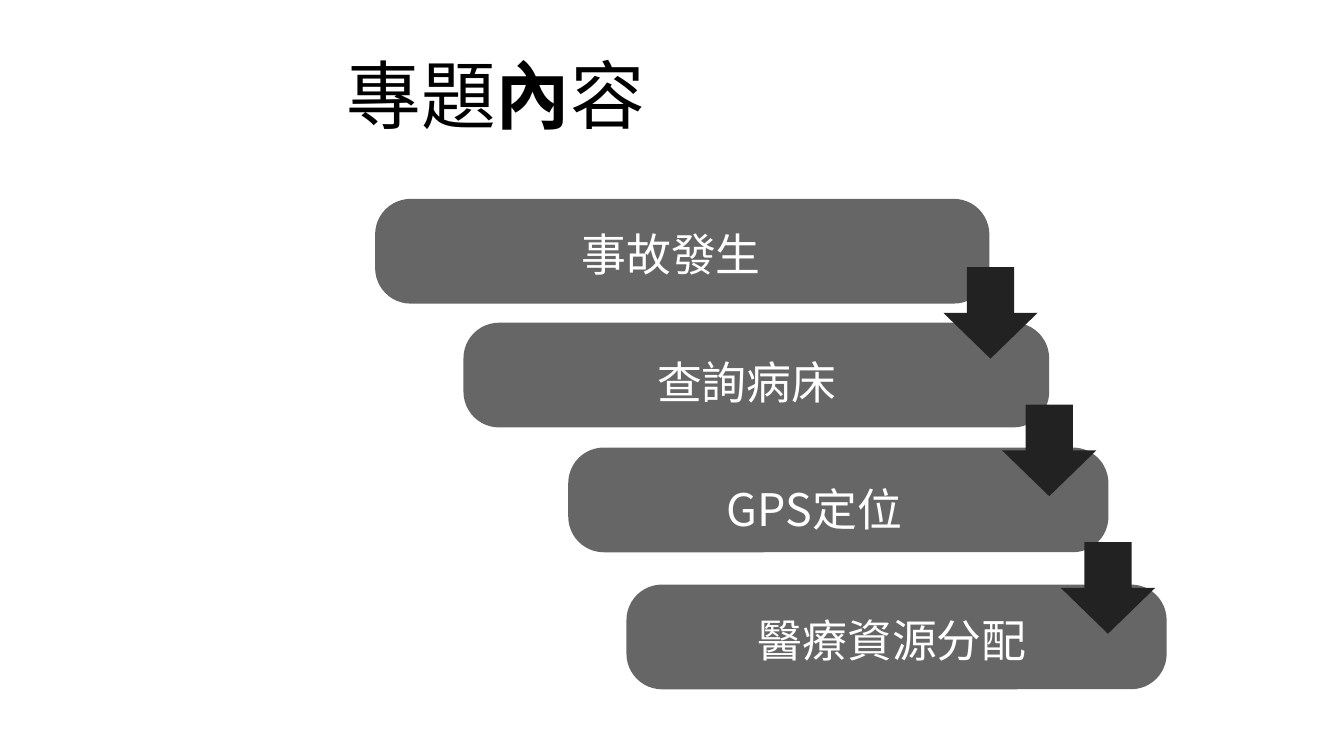
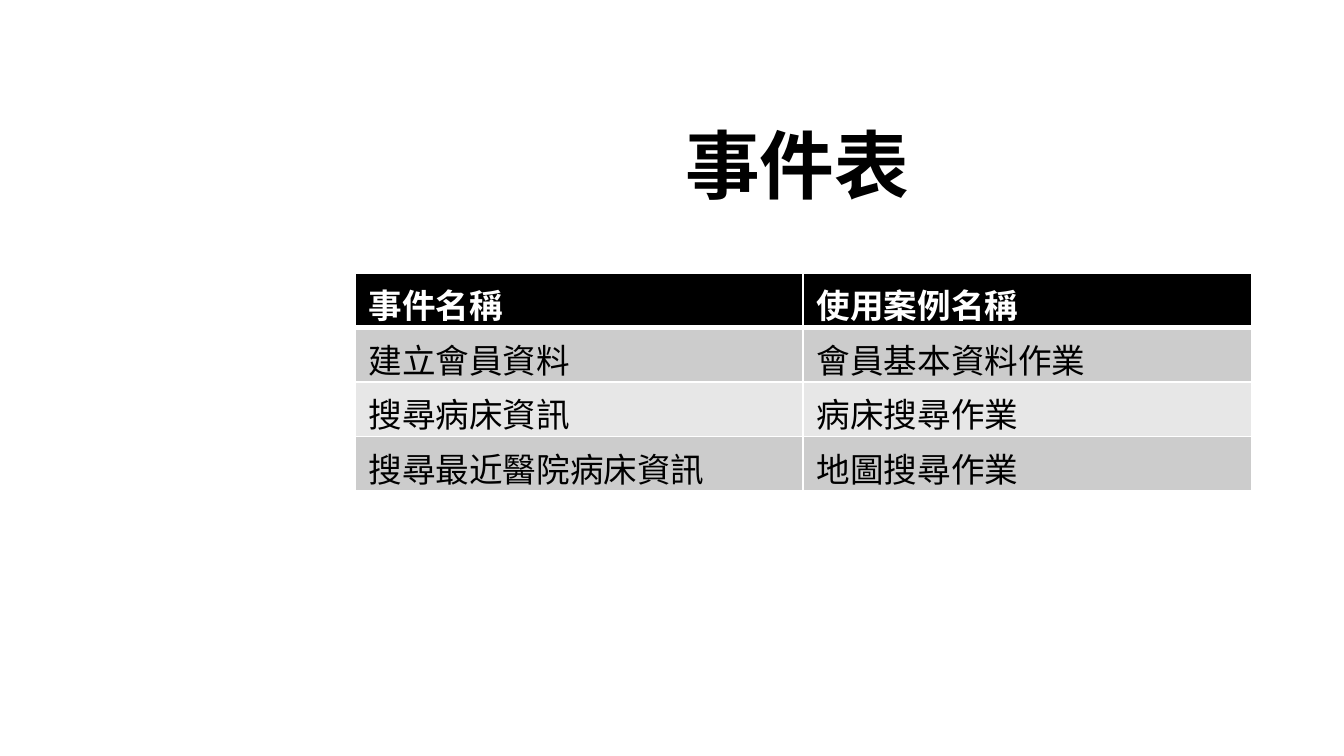
import dataclasses

import lxml.etree
import pptx
import pptx.dml.color
import pptx.enum.shapes
import pptx.enum.text
import pptx.oxml.ns
import pptx.util

Cm = pptx.util.Cm
Pt = pptx.util.Pt
Shape = pptx.enum.shapes.MSO_SHAPE
Anchor = pptx.enum.text.MSO_ANCHOR
qn = pptx.oxml.ns.qn


@dataclasses.dataclass(frozen=True)
class Theme:
    font: str = "Noto Sans CJK SC"
    black: str = "000000"
    white: str = "FFFFFF"
    bar: str = "666666"
    arrow: str = "222222"
    band_dark: str = "CCCCCC"
    band_light: str = "E7E7E7"
    title_size: int = 40
    step_size: int = 24
    table_size: int = 18


theme = Theme()


def write_text(frame, pieces, size, color, bold=False):
    para = frame.paragraphs[0]
    for text, strong in pieces:
        span = para.add_run()
        span.text = text
        if strong:
            span.font.bold = True
    font = para.font
    font.name = theme.font
    font.size = Pt(size)
    font.bold = bold
    font.color.rgb = pptx.dml.color.RGBColor.from_string(color)
    defaults = para._p.xpath("a:pPr/a:defRPr")[0]
    lxml.etree.SubElement(defaults, qn("a:ea"), typeface=theme.font)


def add_block(page, kind, left, top, width, height, color):
    block = page.shapes.add_shape(kind, Cm(left), Cm(top), Cm(width), Cm(height))
    block.shadow.inherit = False
    block.fill.solid()
    block.fill.fore_color.rgb = pptx.dml.color.RGBColor.from_string(color)
    block.line.fill.background()
    return block


deck = pptx.Presentation()
deck.slide_width = Cm(25.4)
deck.slide_height = Cm(14.29)
blank = deck.slide_layouts[6]

page = deck.slides.add_slide(blank)
title = page.shapes.add_textbox(Cm(6.3), Cm(0.58), Cm(17.83), Cm(2.39))
title.text_frame.word_wrap = True
title.text_frame.vertical_anchor = Anchor.MIDDLE
write_text(
    title.text_frame,
    [("專題", False), ("內", True), ("容", False)],
    theme.title_size,
    theme.black,
)

bars = [(7.09, 3.76, 11.61), (8.76, 6.1, 11.07), (10.74, 8.46, 10.21), (11.84, 11.05, 10.21)]
for left, top, width in bars:
    bar = add_block(page, Shape.ROUNDED_RECTANGLE, left, top, width, 1.98, theme.bar)
    bar.adjustments[0] = 0.34

for step in range(len(bars) - 1):
    add_block(page, Shape.DOWN_ARROW, 17.83 + 1.11 * step, 5.05 + 2.6 * step, 1.78, 1.73, theme.arrow)

labels = [
    ("事故發生", 10.74, 4.17, 10.92),
    ("查詢病床", 12.17, 6.58, 7.67),
    ("GPS定位", 13.49, 8.99, 9.04),
    ("醫療資源分配", 14.07, 11.46, 9.04),
]
for text, left, top, width in labels:
    box = page.shapes.add_textbox(Cm(left), Cm(top), Cm(width), Cm(0.99))
    box.text_frame.word_wrap = True
    box.text_frame.auto_size = pptx.enum.text.MSO_AUTO_SIZE.SHAPE_TO_FIT_TEXT
    write_text(box.text_frame, [(text, False)], theme.step_size, theme.white)

page = deck.slides.add_slide(blank)
events = [
    ("事件名稱", "使用案例名稱"),
    ("建立會員資料", "會員基本資料作業"),
    ("搜尋病床資訊", "病床搜尋作業"),
    ("搜尋最近醫院病床資訊", "地圖搜尋作業"),
]
frame = page.shapes.add_table(len(events), 2, Cm(6.71), Cm(5.16), Cm(16.94), Cm(4.12))
table = frame.table
for row, texts in enumerate(events):
    header = row == 0
    if header:
        fill = theme.black
    else:
        fill = theme.band_dark if row % 2 else theme.band_light
    borders = {"lnL": 1, "lnR": 1, "lnT": 3 if row == 1 else 1, "lnB": 3 if header else 1}
    for column, text in enumerate(texts):
        cell = table.cell(row, column)
        properties = cell._tc.get_or_add_tcPr()
        for side, weight in borders.items():
            line = lxml.etree.SubElement(properties, qn("a:" + side), w=str(Pt(weight)))
            solid = lxml.etree.SubElement(line, qn("a:solidFill"))
            lxml.etree.SubElement(solid, qn("a:srgbClr"), val=theme.white)
        cell.fill.solid()
        cell.fill.fore_color.rgb = pptx.dml.color.RGBColor.from_string(fill)
        color = theme.white if header else theme.black
        write_text(cell.text_frame, [(text, False)], theme.table_size, color, bold=header)

title = page.shapes.add_textbox(Cm(12.7), Cm(2.13), Cm(4.78), Cm(1.96))
title.text_frame.word_wrap = False
title.text_frame.auto_size = pptx.enum.text.MSO_AUTO_SIZE.SHAPE_TO_FIT_TEXT
write_text(title.text_frame, [("事件表", False)], theme.title_size, theme.black, bold=True)

deck.save("out.pptx")
